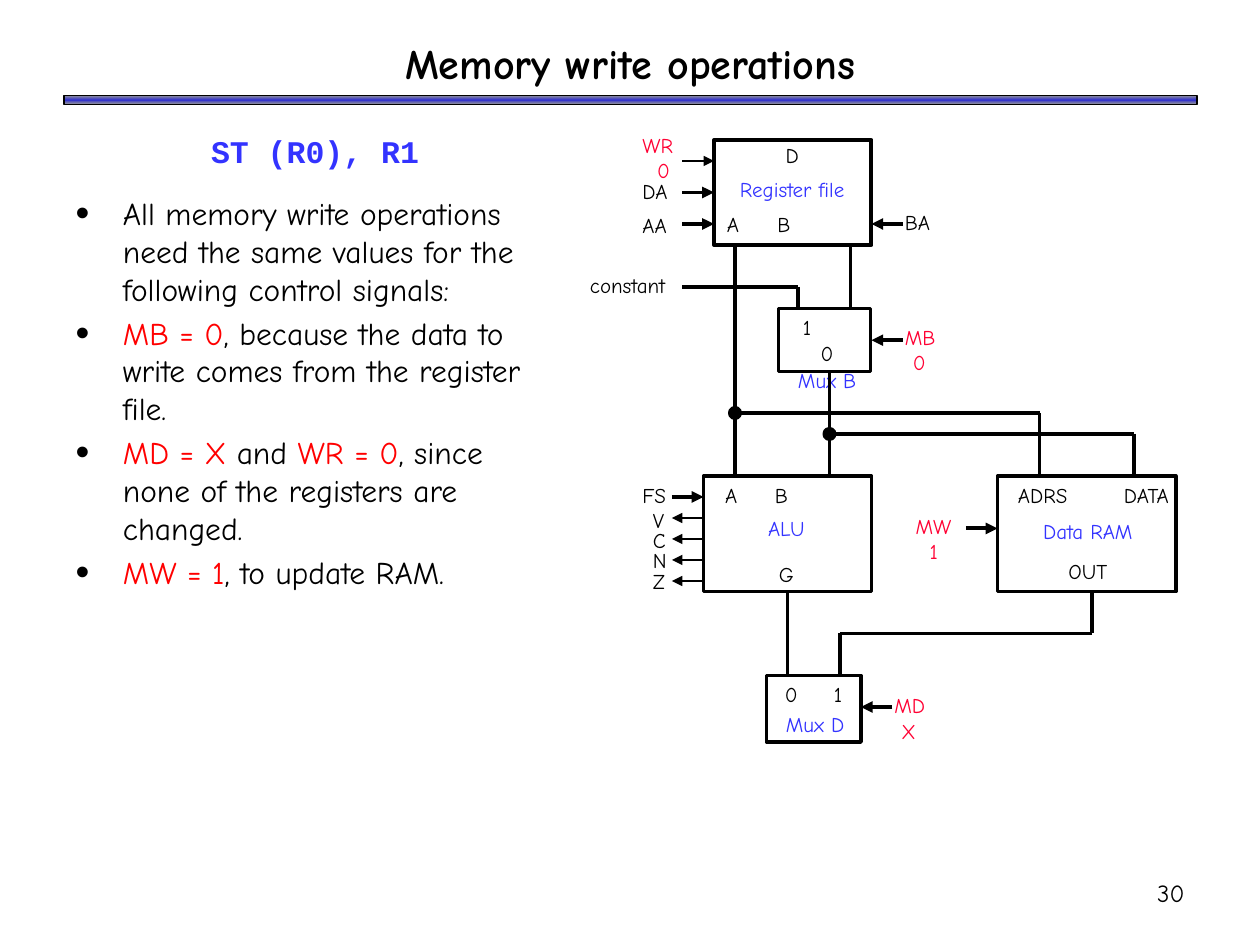
from dataclasses import dataclass
from itertools import pairwise

from lxml import etree
from pptx import Presentation
from pptx import util as u
from pptx.dml.color import RGBColor
from pptx.enum import shapes, text
from pptx.oxml.ns import qn

FONT, CODE = "Comic Neue", "Courier New"
BLACK, RED, BLUE, PINK = "000000", "FF0000", "3333FF", "FF0033"
LEFT, MID, RIGHT = text.PP_ALIGN.LEFT, text.PP_ALIGN.CENTER, text.PP_ALIGN.RIGHT


@dataclass
class Row:
    words: str
    hue: str = BLACK
    gap: float = 0        # space before
    dent: float = 0       # first line indent
    stop: float = 0       # tab stop
    align: int = MID
    lead: float = 1


@dataclass
class Label:
    x: float
    y: float
    wide: float
    high: float
    rows: list[Row]
    inset: float = 7.2


@dataclass
class Wire:
    points: list[tuple[float, float]]
    width: float = 2.25
    arrow: bool = False


def color(code: str) -> RGBColor:
    return RGBColor.from_string(code)


def node(parent, tag: str, **attrs):
    return etree.SubElement(parent, qn(tag), {k: str(v) for k, v in attrs.items()})


def add_run(para, words: str, size: float, hue: str, face: str = FONT, bold: bool = False) -> None:
    run = para.add_run()
    run.text = words
    run.font.size, run.font.name, run.font.bold = u.Pt(size), face, bold
    run.font.color.rgb = color(hue)


def set_frame(frame, side: float = 7.2, anchor=text.MSO_ANCHOR.TOP) -> None:
    frame.word_wrap = True
    frame.auto_size = text.MSO_AUTO_SIZE.NONE
    frame.vertical_anchor = anchor
    frame.margin_left = frame.margin_right = u.Pt(side)
    frame.margin_top = frame.margin_bottom = u.Pt(3.6)


def place(shape, x: float, y: float, wide: float, high: float) -> None:
    shape.left, shape.top = u.Pt(x), u.Pt(y)
    shape.width, shape.height = u.Pt(wide), u.Pt(high)


def paras(frame, items):
    for i, item in enumerate(items):
        yield frame.add_paragraph() if i else frame.paragraphs[0], item


def draw_label(slide, label: Label, size: float = 12) -> None:
    box = slide.shapes.add_textbox(*map(u.Pt, (label.x, label.y, label.wide, label.high)))
    set_frame(box.text_frame, label.inset)
    for para, row in paras(box.text_frame, label.rows):
        para.alignment, para.line_spacing = row.align, row.lead
        para.space_before = u.Pt(row.gap)
        props = para._p.get_or_add_pPr()
        props.set("marL", "0")
        props.set("indent", str(u.Pt(row.dent)))
        if row.stop:
            node(node(props, "a:tabLst"), "a:tab", pos=u.Pt(row.stop), algn="l")
        add_run(para, row.words, size, row.hue)


def draw_shape(slide, kind, x, y, wide, high, width=2.0, fill=None):
    shape = slide.shapes.add_shape(kind, *map(u.Pt, (x, y, wide, high)))
    shape.shadow.inherit = False
    if fill:
        shape.fill.solid()
        shape.fill.fore_color.rgb = color(fill)
    else:
        shape.fill.background()
    shape.line.color.rgb, shape.line.width = color(BLACK), u.Pt(width)
    return shape


def draw_wire(slide, wire: Wire) -> None:
    for start, end in pairwise(wire.points):
        line = slide.shapes.add_connector(
            shapes.MSO_CONNECTOR.STRAIGHT, *map(u.Pt, (*start, *end)))
        line.line.color.rgb, line.line.width = color(BLACK), u.Pt(wire.width)
        if wire.arrow:
            node(line.line._get_or_add_ln(), "a:tailEnd", type="triangle")
        node(line._element.spPr, "a:effectLst")


def draw_bar(slide) -> None:
    bar = draw_shape(slide, shapes.MSO_SHAPE.RECTANGLE, 36.5, 54.5, 647.5, 5.2, 1)
    bar.fill.gradient()
    bar.fill.gradient_angle = 90
    stops = bar._element.spPr.find(qn("a:gradFill")).find(qn("a:gsLst"))
    for old in list(stops):
        stops.remove(old)
    for pos, hue in ((0, "969696"), (50000, "3333CC"), (100000, "969696")):
        node(node(stops, "a:gs", pos=pos), "a:srgbClr", val=hue)


def fill_body(body) -> None:
    place(body, 36, 72, 288, 408)
    set_frame(body.text_frame)
    items = [
        [("ST (R0), R1", BLUE)],
        [("All memory write operations need the same values for the following control signals:", BLACK)],
        [("MB = 0", RED), (", because the data to write comes from the register file.", BLACK)],
        [("MD = X", RED), (" and ", BLACK), ("WR = 0", RED),
         (", since none of the registers are changed.", BLACK)],
        [("MW = 1", RED), (", to update RAM.", BLACK)],
    ]
    for i, (para, runs) in enumerate(paras(body.text_frame, items)):
        head = i == 0
        para.alignment = MID if head else LEFT
        para.space_before, para.space_after = u.Pt(0 if head else 3.6), u.Pt(10 if head else 0)
        props = para._p.get_or_add_pPr()
        dent = 0 if head else u.Pt(27)
        props.set("marL", str(dent))
        props.set("indent", str(-dent))
        if head:
            node(props, "a:buNone")
        else:
            node(node(props, "a:buClr"), "a:srgbClr", val=BLACK)
            node(props, "a:buSzPct", val=125000)
            node(props, "a:buChar", char="•")
        for words, hue in runs:
            add_run(para, words, 18, hue, CODE if head else FONT, head)


def side(words: str, x: float, y: float, hue: str = BLACK, value: str = "", dent: float = 0) -> Label:
    rows = [Row(words, hue, align=LEFT)]
    if value:
        rows.append(Row(value, hue, dent=dent, align=LEFT))
    return Label(x, y, 64, 21.6 if not value else 36, rows)


def ports(words: str, dent: float, stop: float = 0) -> Row:
    return Row(words, dent=dent, stop=stop, align=LEFT)


# Blocks of the datapath: x, y, width, height, line width
BLOCKS = [
    (408, 80, 90, 60, 2.25), (402, 272, 96, 66, 2), (445, 176.4, 52.5, 36, 2),
    (438, 386, 54, 38, 2), (570, 272, 102, 66, 2),
]
LABELS = [
    Label(408.2, 77.8, 89, 63, [ports("D", 0), Row("Register file", BLUE, 5.2),
                               Row("A\tB", gap=5.7, dent=7.2, stop=74.6, align=LEFT)], 0),
    Label(406.8, 272, 85, 69, [ports("A\tB", 7.5, 70.3), Row("ALU", BLUE, 4.8), Row("G", gap=11.5)], 0),
    Label(446.4, 176.4, 52.5, 50, [ports("1", 12.4), Row("0"), Row("Mux B", BLUE, 1.2)], 0),
    Label(440.6, 386, 50.4, 39, [ports("0\t1", 8, 39), Row("Mux D", BLUE, 2.9)], 0),
    Label(570.2, 272, 103, 68, [ports("ADRS\tDATA", 11.5, 66.4), Row("Data RAM", BLUE, 6.3),
                               Row("OUT", gap=8.6)], 0),
    side("WR", 360, 72, PINK, "0", 8.5), side("DA", 360, 98.4), side("AA", 360, 118),
    side("BA", 510, 116), side("MB", 510, 182, PINK, "0", 4.6), side("FS", 360, 272),
    side("MD", 504, 392.4, PINK, "X", 4), side("MW", 516.2, 290, PINK, "1", 8),
    Label(330, 152, 63, 21.6, [Row("constant", align=LEFT)]),
    Label(366, 289.4, 25, 53, [Row(flag, align=LEFT, lead=0.8) for flag in "VCNZ"]),
]
LABELS[0].rows[0].align = MID

# Inputs, flags and buses
WIRES = [Wire([(x, y), (x + 18, y)], w, True) for x, y, w in (
    (390, 92, 1.5), (390, 110, 2.25), (390, 128, 2.25), (384, 284, 2.25), (552, 302, 2.25))]
WIRES += [Wire([(x + 18, y), (x, y)], 2.25, True) for x, y in ((498, 128), (498, 194.4), (492, 404))]
WIRES += [Wire([(402, 296 + 12 * i), (384, 296 + 12 * i)], 1.5, True) for i in range(4)]
WIRES += [Wire(points) for points in (
    [(450, 338), (450, 386)],
    [(624, 338), (624, 362), (480, 362), (480, 386)],
    [(486, 140), (486, 176.4)],
    [(474, 212.4), (474, 272)],
    [(474, 248), (648, 248), (648, 272)],
    [(420, 140), (420, 272)],
    [(420, 236), (594, 236), (594, 272)],
    [(390, 164), (456, 164), (456, 176.4)],
)]


def main() -> None:
    deck = Presentation()
    deck.slide_width, deck.slide_height = u.Pt(720), u.Pt(540)
    slide = deck.slides.add_slide(deck.slide_layouts[1])

    # Title, rule, list and page number
    draw_bar(slide)
    title = slide.shapes.title
    place(title, 36, 18, 648, 36)
    set_frame(title.text_frame, anchor=text.MSO_ANCHOR.MIDDLE)
    title.text_frame.paragraphs[0].alignment = MID
    add_run(title.text_frame.paragraphs[0], "Memory write operations", 24, BLACK, bold=True)
    fill_body(slide.placeholders[1])
    draw_label(slide, Label(534, 498, 150, 28, [Row("30", align=RIGHT)]), 14)

    # Datapath
    for *frame, width in BLOCKS:
        draw_shape(slide, shapes.MSO_SHAPE.RECTANGLE, *frame, width)
    for label in LABELS:
        draw_label(slide, label)
    for wire in WIRES:
        draw_wire(slide, wire)
    for x, y in ((420, 236), (474, 248)):
        draw_shape(slide, shapes.MSO_SHAPE.OVAL, x - 3, y - 3, 6, 6, fill=BLACK)
    deck.save("out.pptx")


if __name__ == "__main__":
    main()
